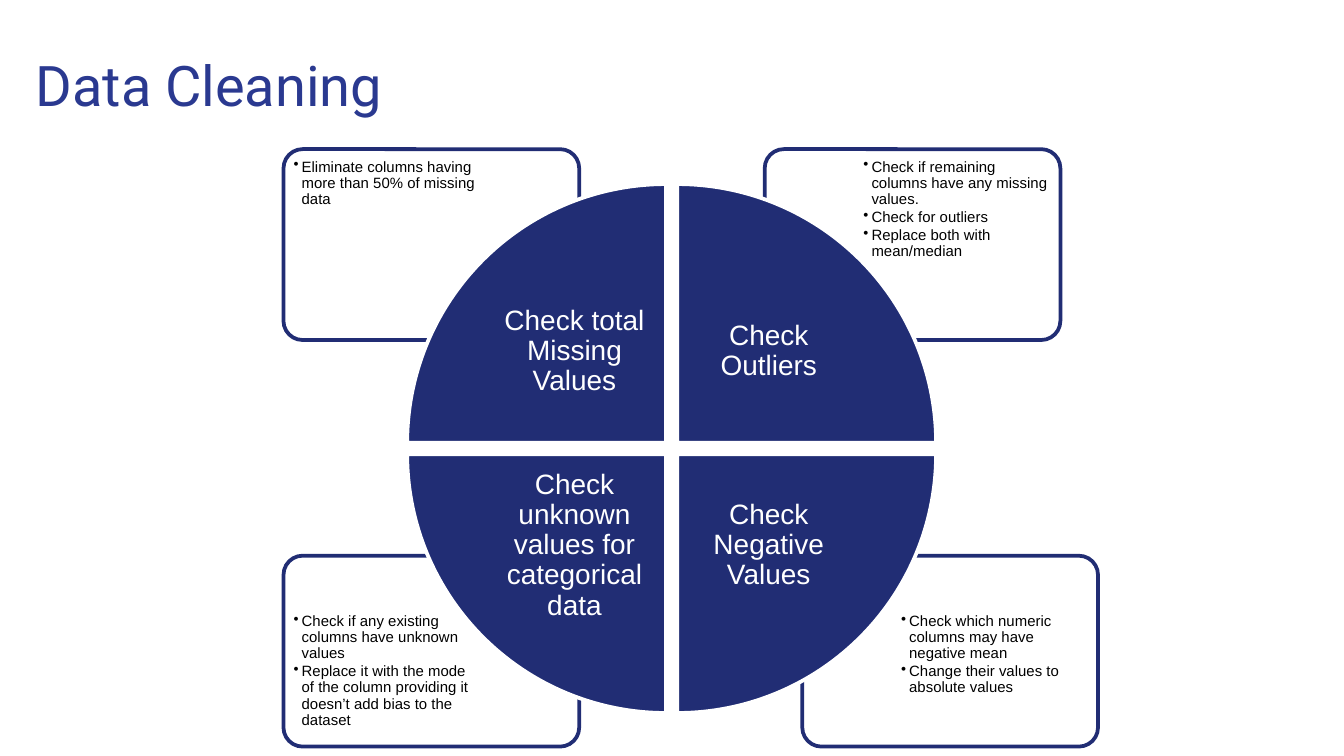
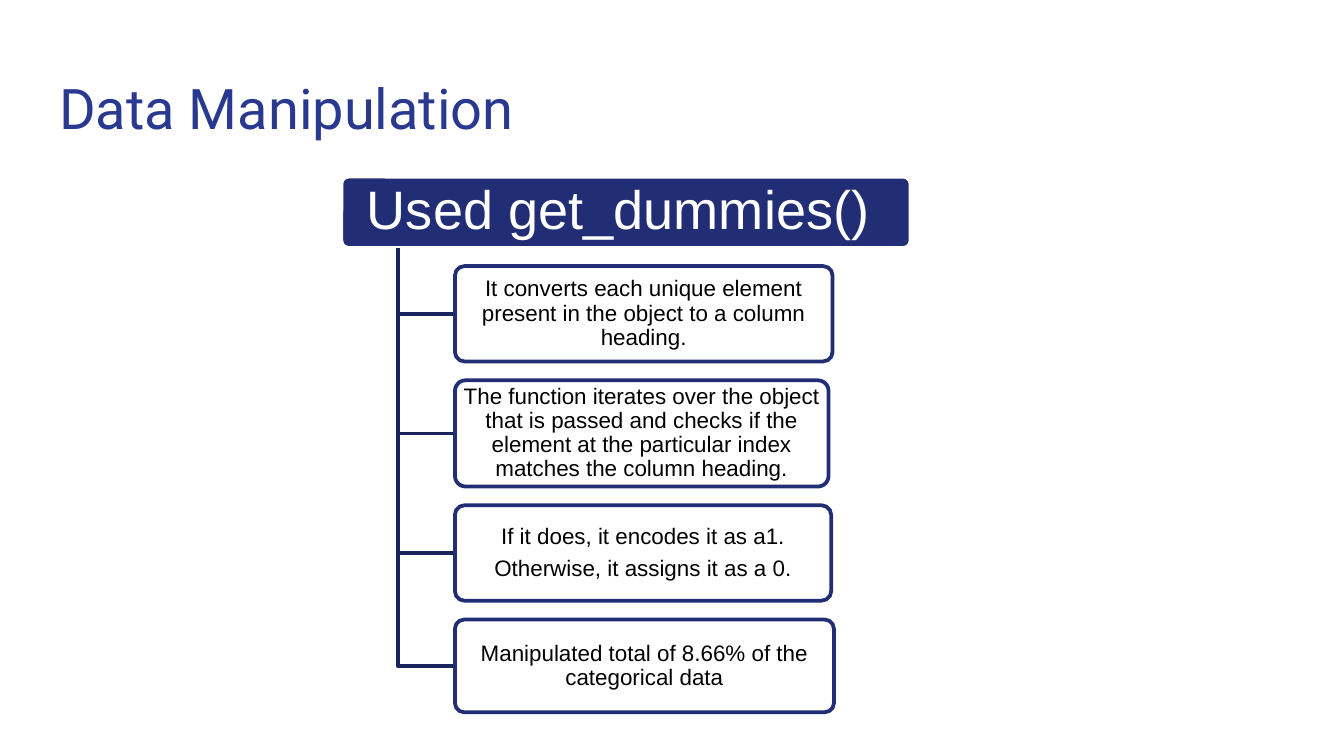
"""Build two slides on data cleaning and data manipulation."""
import dataclasses

import lxml.etree
import pptx
import pptx.dml.color
import pptx.enum.shapes
import pptx.enum.text
import pptx.oxml.ns
import pptx.presentation
import pptx.shapes.autoshape
import pptx.slide
import pptx.text.text
import pptx.util

EMU_PER_PX = 4572
SLIDE_WIDTH, SLIDE_HEIGHT = 2000, 1125
TITLE_BLUE = pptx.dml.color.RGBColor(0x2A, 0x39, 0x90)
NAVY = pptx.dml.color.RGBColor(0x21, 0x2D, 0x74)
BRANCH_NAVY = pptx.dml.color.RGBColor(0x1A, 0x24, 0x5D)
WHITE = pptx.dml.color.RGBColor(0xFF, 0xFF, 0xFF)
BLACK = pptx.dml.color.RGBColor(0x00, 0x00, 0x00)
LINE_WIDTH = pptx.util.Pt(2)
SHAPES = pptx.enum.shapes.MSO_SHAPE
ANCHOR = pptx.enum.text.MSO_ANCHOR
ALIGN = pptx.enum.text.PP_ALIGN

WEDGE_LEFT, WEDGE_TOP, WEDGE_SIZE, WEDGE_PITCH = 606, 274, 385, 402
LABEL_SIZE = 272
CARD_WIDTH, CARD_HEIGHT = 440, 284
TRUNK_X, BRANCH_TOP, STEP_LEFT, STEP_TOP, STEP_GAP = 592, 369, 677, 396, 28


@dataclasses.dataclass(frozen=True)
class Box:
    left: int
    top: int
    width: int
    height: int

    def inset(self, by: int) -> "Box":
        return Box(self.left + by, self.top + by, self.width - 2 * by, self.height - 2 * by)

    def emu(self) -> tuple[int, ...]:
        return tuple(px(value) for value in dataclasses.astuple(self))


@dataclasses.dataclass(frozen=True)
class Quadrant:
    column: int
    row: int
    rotation: int
    label: str
    card_left: int
    card_top: int
    bullets: tuple[str, ...]


@dataclasses.dataclass(frozen=True)
class Step:
    width: int
    height: int
    lines: tuple[str, ...]


QUADRANTS = (
    Quadrant(0, 0, 0, "Check total Missing Values", 422, 222,
             ("Eliminate columns having more than 50% of missing data",)),
    Quadrant(1, 0, 90, "Check Outliers", 1138, 222,
             ("Check if remaining columns have any missing values.",
              "Check for outliers",
              "Replace both with mean/median")),
    Quadrant(1, 1, 180, "Check Negative Values", 1194, 827,
             ("Check which numeric columns may have negative mean",
              "Change their values to absolute values")),
    Quadrant(0, 1, 270, "Check unknown values for categorical data", 422, 827,
             ("Check if any existing columns have unknown values",
              "Replace it with the mode of the column providing it "
              "doesn’t add bias to the dataset")),
)

STEPS = (
    Step(562, 142, ("It converts each unique element present in the object to a column heading.",)),
    Step(556, 158, ("The function iterates over the object that is passed and checks if the element "
                    "at the particular index matches the column heading.",)),
    Step(560, 142, ("If it does, it encodes it as a1.", "Otherwise, it assigns it as a 0.")),
    Step(564, 138, ("Manipulated total of 8.66% of the categorical data",)),
)


def px(value: int) -> int:
    return value * EMU_PER_PX


def add_bullet(para: pptx.text.text._Paragraph) -> None:
    properties = para._p.get_or_add_pPr()
    properties.set("marL", str(px(12)))
    properties.set("indent", str(px(-12)))
    bullet = lxml.etree.SubElement(properties, pptx.oxml.ns.qn("a:buChar"))
    bullet.set("char", "•")


def write_text(frame: pptx.text.text.TextFrame, lines: tuple[str, ...], *, size: int,
               color: pptx.dml.color.RGBColor, font: str = "Arial",
               align: ALIGN = ALIGN.CENTER, anchor: ANCHOR = ANCHOR.MIDDLE,
               margins: tuple[int, int] = (6, 4), spacing: float = 0.9,
               after: float = 0.35, bullets: bool = False) -> None:
    frame.word_wrap = True
    frame.auto_size = pptx.enum.text.MSO_AUTO_SIZE.NONE
    frame.vertical_anchor = anchor
    frame.margin_left = frame.margin_right = px(margins[0])
    frame.margin_top = frame.margin_bottom = px(margins[1])
    for index, line in enumerate(lines):
        para = frame.paragraphs[0] if index == 0 else frame.add_paragraph()
        para.alignment = align
        para.line_spacing = spacing
        para.space_after = pptx.util.Pt(size * after)
        if bullets:
            add_bullet(para)
        span = para.add_run()
        span.text = line
        span.font.name = font
        span.font.size = pptx.util.Pt(size)
        span.font.color.rgb = color


def add_label(page: pptx.slide.Slide, box: Box, lines: tuple[str, ...], **style) -> None:
    write_text(page.shapes.add_textbox(*box.emu()).text_frame, lines, **style)


def add_filled(page: pptx.slide.Slide, kind: SHAPES, box: Box,
               fill: pptx.dml.color.RGBColor,
               line: pptx.dml.color.RGBColor) -> pptx.shapes.autoshape.Shape:
    shape = page.shapes.add_shape(kind, *box.emu())
    shape.shadow.inherit = False
    shape.fill.solid()
    shape.fill.fore_color.rgb = fill
    shape.line.color.rgb = line
    shape.line.width = LINE_WIDTH
    return shape


def add_card(page: pptx.slide.Slide, box: Box) -> None:
    card = add_filled(page, SHAPES.ROUNDED_RECTANGLE, box, WHITE, NAVY)
    card.adjustments[0] = 0.1
    color = card._element.spPr.find(".//" + pptx.oxml.ns.qn("a:srgbClr"))
    lxml.etree.SubElement(color, pptx.oxml.ns.qn("a:alpha")).set("val", "90000")


def add_branch(page: pptx.slide.Slide, middle: int) -> None:
    builder = page.shapes.build_freeform(TRUNK_X, BRANCH_TOP, scale=EMU_PER_PX)
    builder.add_line_segments([(TRUNK_X, middle), (STEP_LEFT, middle)], close=False)
    branch = builder.convert_to_shape()
    branch.shadow.inherit = False
    branch.fill.background()
    branch.line.color.rgb = BRANCH_NAVY
    branch.line.width = LINE_WIDTH


def add_page(deck: pptx.presentation.Presentation, title: str,
             left: int, top: int) -> pptx.slide.Slide:
    page = deck.slides.add_slide(deck.slide_layouts[5])
    holder = page.shapes.title
    holder.left, holder.top, holder.width, holder.height = Box(left, top, 1864, 132).emu()
    write_text(holder.text_frame, (title,), size=30, color=TITLE_BLUE, font="Roboto",
               align=ALIGN.LEFT, anchor=ANCHOR.TOP, margins=(20, 20), spacing=1.0, after=0)
    return page


def add_quadrant_card(page: pptx.slide.Slide, quadrant: Quadrant) -> None:
    add_card(page, Box(quadrant.card_left, quadrant.card_top, CARD_WIDTH, CARD_HEIGHT))
    text_box = Box(quadrant.card_left + (139 if quadrant.column else 7),
                   quadrant.card_top + (78 if quadrant.row else 7), 294, 200)
    add_label(page, text_box, quadrant.bullets, size=8, color=BLACK, align=ALIGN.LEFT,
              anchor=ANCHOR.TOP, margins=(8, 8), after=0.15, bullets=True)


def add_quadrant_wedge(page: pptx.slide.Slide, quadrant: Quadrant) -> None:
    left = WEDGE_LEFT + WEDGE_PITCH * quadrant.column
    top = WEDGE_TOP + WEDGE_PITCH * quadrant.row
    wedge = add_filled(page, SHAPES.PIE_WEDGE, Box(left, top, WEDGE_SIZE, WEDGE_SIZE),
                       NAVY, WHITE)
    wedge.rotation = quadrant.rotation
    shift = WEDGE_SIZE - LABEL_SIZE
    label_box = Box(left + shift * (1 - quadrant.column), top + shift * (1 - quadrant.row),
                    LABEL_SIZE, LABEL_SIZE)
    add_label(page, label_box, (quadrant.label,), size=15, color=WHITE, margins=(24, 24))


def add_cleaning_page(deck: pptx.presentation.Presentation) -> None:
    page = add_page(deck, "Data Cleaning", 33, 55)
    for quadrant in QUADRANTS:
        add_quadrant_card(page, quadrant)
    for quadrant in QUADRANTS:
        add_quadrant_wedge(page, quadrant)


def add_manipulation_page(deck: pptx.presentation.Presentation) -> None:
    page = add_page(deck, "Data Manipulation", 68, 90)
    header_box = Box(508, 263, 847, 106)
    header = add_filled(page, SHAPES.ROUNDED_RECTANGLE, header_box, NAVY, WHITE)
    header.adjustments[0] = 0.1
    add_label(page, header_box.inset(3), ("Used get_dummies() ",), size=29, color=WHITE,
              margins=(12, 8))
    top = STEP_TOP
    for step in STEPS:
        box = Box(STEP_LEFT, top, step.width, step.height)
        add_branch(page, top + step.height // 2)
        add_card(page, box)
        add_label(page, box.inset(4), step.lines, size=12, color=BLACK)
        top += step.height + STEP_GAP


def main() -> None:
    deck = pptx.Presentation()
    deck.slide_width, deck.slide_height = px(SLIDE_WIDTH), px(SLIDE_HEIGHT)
    add_cleaning_page(deck)
    add_manipulation_page(deck)
    deck.save("out.pptx")


if __name__ == "__main__":
    main()
